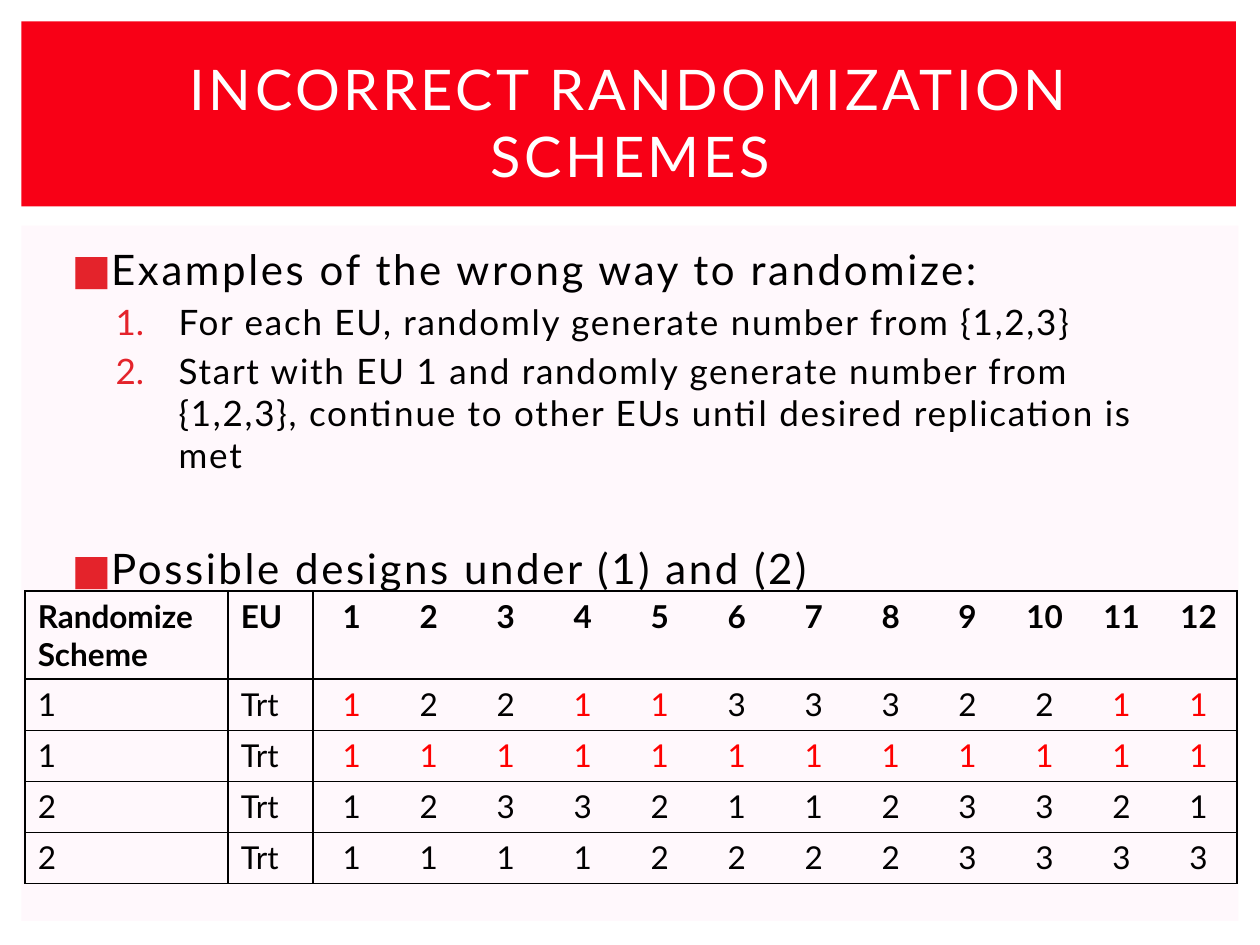
from dataclasses import dataclass

from lxml.etree import SubElement
from pptx import Presentation
from pptx.dml.color import RGBColor
from pptx.enum.shapes import MSO_SHAPE
from pptx.enum.text import MSO_ANCHOR, PP_ALIGN
from pptx.oxml.ns import qn
from pptx.util import Pt


@dataclass(frozen=True)
class Theme:
    font: str = "Lato"
    banner: str = "F80016"
    panel: str = "FFF8FC"
    bullet: str = "E4232B"
    ink: str = "000000"
    white: str = "FFFFFF"
    highlight: str = "FF0000"
    title_size: float = 32
    point_size: float = 24
    step_size: float = 20
    table_size: float = 18


THEME = Theme()

# Scheme, and the treatments given to the twelve experimental units
DESIGNS = [
    ("1", "122113332211"),
    ("1", "111111111111"),
    ("2", "123321123321"),
    ("2", "111122223333"),
]
HIGHLIGHTED_SCHEME = "1"
HIGHLIGHTED_TREATMENT = "1"


def add_span(para, text, size, color, spacing=0, bold=False):
    span = para.add_run()
    span.text = text
    span.font.name = THEME.font
    span.font.size = Pt(size)
    span.font.bold = bold
    span.font.color.rgb = RGBColor.from_string(color)
    if spacing:
        span._r.get_or_add_rPr().set("spc", str(int(spacing * 100)))


def add_panel(page, box, color):
    panel = page.shapes.add_shape(MSO_SHAPE.RECTANGLE, *map(Pt, box))
    panel.shadow.inherit = False
    panel.fill.solid()
    panel.fill.fore_color.rgb = RGBColor.from_string(color)
    panel.line.fill.background()


def add_text_frame(page, box):
    frame = page.shapes.add_textbox(*map(Pt, box)).text_frame
    frame.word_wrap = True
    return frame


def add_title(page, box):
    frame = add_text_frame(page, box)
    frame.vertical_anchor = MSO_ANCHOR.MIDDLE
    para = frame.paragraphs[0]
    para.alignment = PP_ALIGN.CENTER
    add_span(para, "INCORRECT RANDOMIZATION SCHEMES", THEME.title_size, THEME.white, 2)


def set_bullet(para, left, hanging, kind, **attributes):
    """Give a paragraph a hanging indent and a coloured bullet or number."""
    properties = para._p.get_or_add_pPr()
    properties.set("marL", str(Pt(left)))
    properties.set("indent", str(-Pt(hanging)))
    color = SubElement(properties, qn("a:buClr"))
    SubElement(color, qn("a:srgbClr"), val=THEME.bullet)
    SubElement(properties, qn("a:buFont"), typeface=THEME.font)
    SubElement(properties, qn(kind), **attributes)


def add_point(para, text, space_before=0):
    set_bullet(para, 21.6, 18, "a:buChar", char="■")
    para.space_before = Pt(space_before)
    add_span(para, text, THEME.point_size, THEME.ink, 1.5)


def add_step(para, text):
    para.level = 1
    set_bullet(para, 64.8, 36, "a:buAutoNum", type="arabicPeriod")
    para.space_before = Pt(4)
    add_span(para, text, THEME.step_size, THEME.ink, 1)


def add_body(page, box):
    frame = add_text_frame(page, box)
    add_point(frame.paragraphs[0], "Examples of the wrong way to randomize:")
    for step in (
        "For each EU, randomly generate number from {1,2,3}",
        "Start with EU 1 and randomly generate number from {1,2,3}, "
        "continue to other EUs until desired replication is met",
    ):
        add_step(frame.add_paragraph(), step)
    add_point(frame.add_paragraph(), "Possible designs under (1) and (2)", 38.4)


def set_borders(cell, sides):
    """Draw the named sides of a cell and clear the others."""
    properties = cell._tc.get_or_add_tcPr()
    for side in "LRTB":
        line = SubElement(properties, qn(f"a:ln{side}"), w=str(Pt(1)))
        if side in sides:
            fill = SubElement(line, qn("a:solidFill"))
            SubElement(fill, qn("a:srgbClr"), val=THEME.ink)
        else:
            SubElement(line, qn("a:noFill"))


def add_design_table(page, box):
    units = [str(number) for number in range(1, 13)]
    rows = [["Randomize Scheme", "EU", *units]]
    rows += [[scheme, "Trt", *treatments] for scheme, treatments in DESIGNS]
    last = len(rows[0]) - 1

    table = page.shapes.add_table(len(rows), last + 1, *map(Pt, box)).table
    table.first_row = table.horz_banding = False
    for column, width in zip(table.columns, [116, 48.6] + [44] * len(units)):
        column.width = Pt(width)
    for row, height in zip(table.rows, [50.2] + [29.2] * len(DESIGNS)):
        row.height = Pt(height)

    for row_index, values in enumerate(rows):
        for column_index, value in enumerate(values):
            cell = table.cell(row_index, column_index)
            is_unit = column_index > 1
            sides = "TB" if is_unit else "LRTB"
            if column_index == 2:
                sides += "L"
            if column_index == last:
                sides += "R"
            set_borders(cell, sides)
            cell.fill.background()

            para = cell.text_frame.paragraphs[0]
            para.alignment = PP_ALIGN.CENTER if is_unit else PP_ALIGN.LEFT
            highlighted = (
                is_unit
                and values[0] == HIGHLIGHTED_SCHEME
                and value == HIGHLIGHTED_TREATMENT
            )
            color = THEME.highlight if highlighted else THEME.ink
            add_span(para, value, THEME.table_size, color, bold=row_index == 0)


def main():
    deck = Presentation()
    deck.slide_width, deck.slide_height = Pt(720), Pt(540)
    page = deck.slides.add_slide(deck.slide_layouts[6])
    add_panel(page, (12.2, 128.9, 695.5, 397.4), THEME.panel)
    add_panel(page, (12.2, 12.2, 694.1, 105.8), THEME.banner)
    add_body(page, (30.2, 135.4, 661.7, 404.6))
    add_title(page, (30.2, 28.1, 660.2, 82.8))
    add_design_table(page, (14.4, 337.7, 692.6, 167))
    deck.save("out.pptx")


if __name__ == "__main__":
    main()
